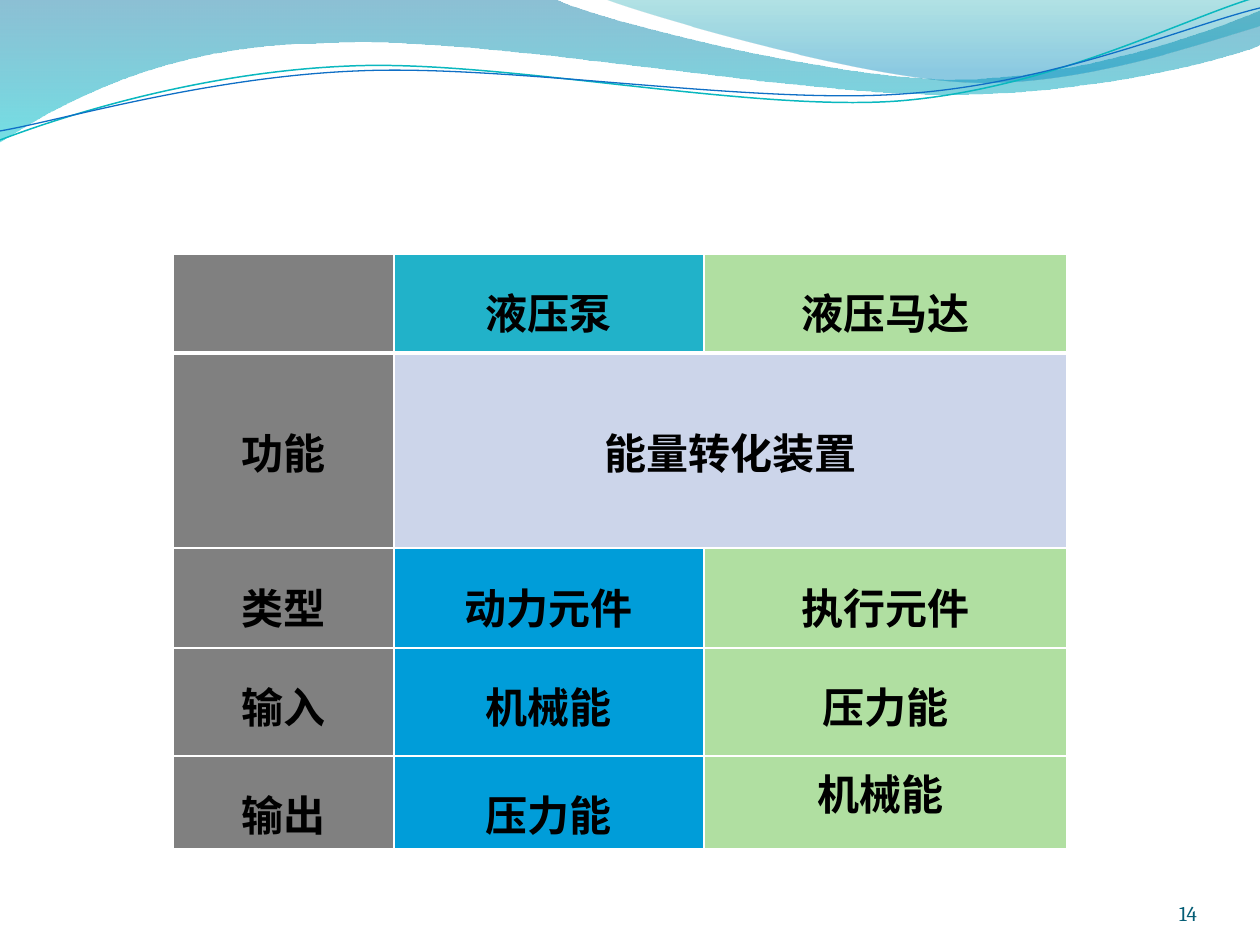
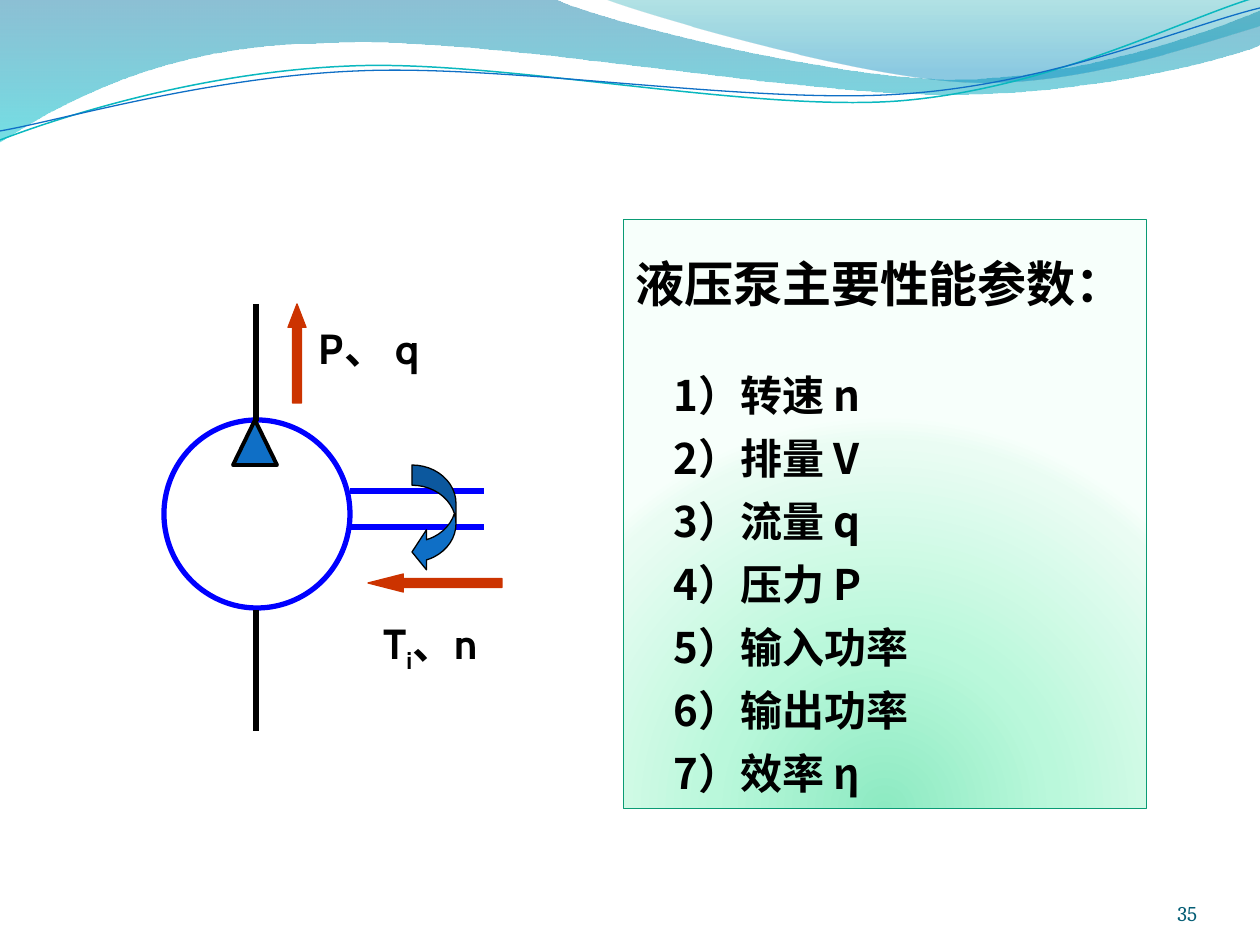
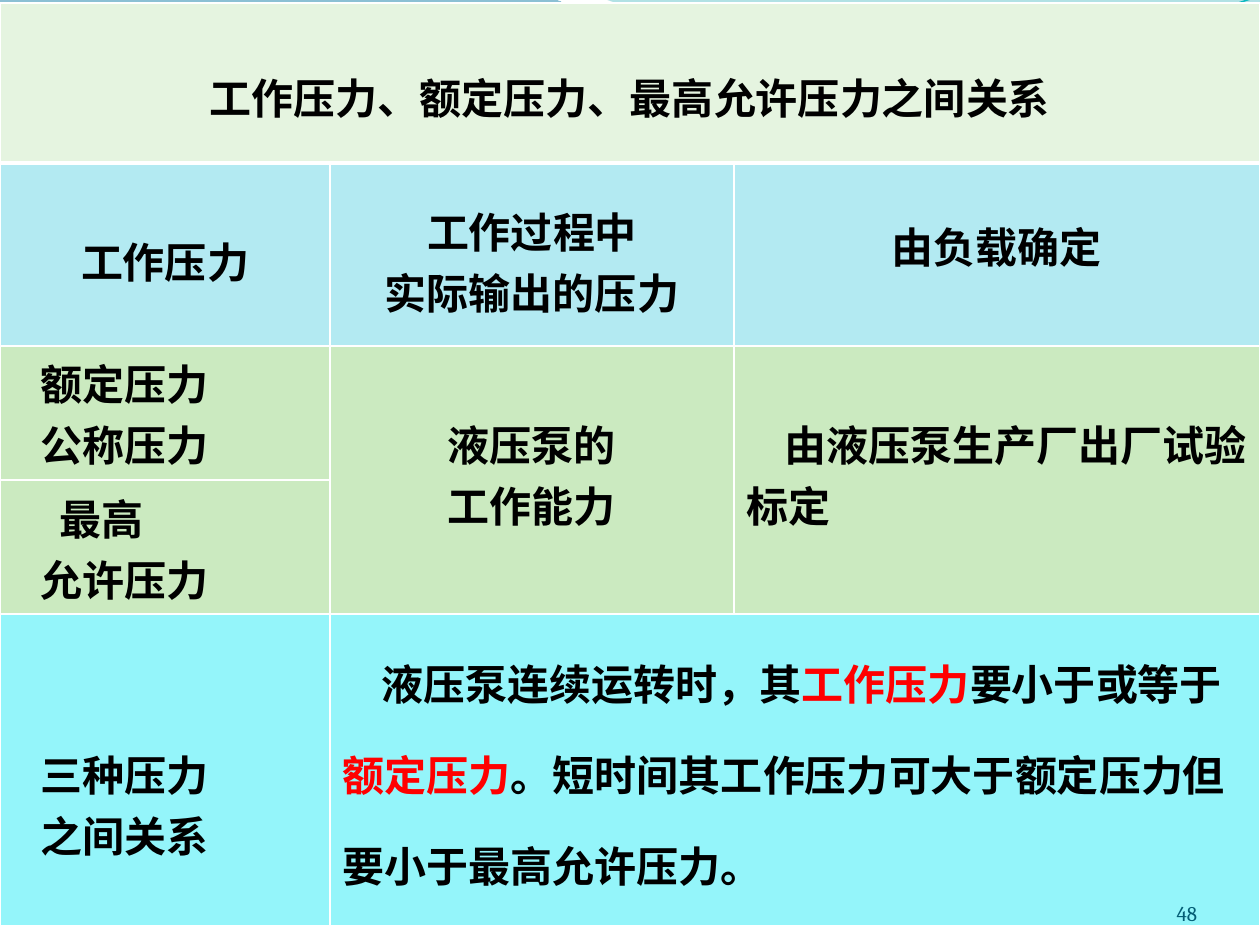
from lxml import etree
from pptx import Presentation
from pptx.dml.color import RGBColor
from pptx.enum.shapes import MSO_CONNECTOR, MSO_SHAPE
from pptx.enum.text import MSO_ANCHOR, PP_ALIGN
from pptx.oxml.ns import qn
from pptx.util import Pt

LEFT, CENTER, RIGHT = PP_ALIGN.LEFT, PP_ALIGN.CENTER, PP_ALIGN.RIGHT
TOP, BOTTOM = MSO_ANCHOR.TOP, MSO_ANCHOR.BOTTOM
ELLIPSE, TRIANGLE, RECT = MSO_SHAPE.OVAL, MSO_SHAPE.ISOSCELES_TRIANGLE, MSO_SHAPE.RECTANGLE
UP_ARROW, LEFT_ARROW = MSO_SHAPE.UP_ARROW, MSO_SHAPE.LEFT_ARROW
CURVED_ARROW = MSO_SHAPE.CURVED_LEFT_ARROW
STRAIGHT = MSO_CONNECTOR.STRAIGHT

CJK, LATIN, NUMBER = "Noto Sans CJK SC", "Cabin", "Cambria"
BLANK_LAYOUT = 6
INSET_X, INSET_Y = 13, 6

COLORS = {
    "white": "FFFFFF", "black": "000000", "red": "FF0000", "number": "045D75",
    "teal_line": "0AB8BF", "blue": "0F6FC6", "pump_line": "0000FF", "flow": "CC3300",
    "gray": "808080", "teal": "21B2C9", "green": "B0DFA1", "lavender": "CCD5EA",
    "sky": "009DD9", "pale_green": "E5F4E0", "pale_blue": "B3EAF2",
    "soft_green": "CBEAC0", "cyan": "94F5FA", "panel_line": "0A9B74",
}

# Each wave is a start point and segments: 2 numbers make a line, 6 a curve.
WIDE_WAVE = ((0, -1), [(554, -1), (600, 21, 837, 79, 955, 79), (1075, 79, 1207, 33, 1260, 11),
                       (1261, 45), (1239, 55, 1096, 96, 940, 94), (783, 94, 481, 35, 324, 43),
                       (163, 44, 58, 105, -1, 142)])
RIGHT_WAVE = ((604, -1), [(641, 14, 859, 78, 969, 82), (1079, 87, 1211, 40, 1260, 26), (1260, 0)])
TEAL_CURVE = ((0, 140), [(60, 117, 199, 72, 349, 66), (498, 59, 747, 112, 898, 101),
                         (1050, 89, 1182, 19, 1257, -3)])
BLUE_CURVE = ((0, 131), [(59, 121, 207, 77, 357, 71), (508, 64, 752, 105, 903, 94),
                         (1053, 84, 1186, 26, 1260, 8)])


def px(n):
    return round(n * 914400 / 126)


def rgb(name):
    return RGBColor.from_string(COLORS[name])


def sub(parent, tag, **attrs):
    return etree.SubElement(parent, qn(tag), {k: str(v) for k, v in attrs.items()})


def add_color(parent, hex_color, opacity=100):
    clr = sub(parent, "a:srgbClr", val=hex_color)
    if opacity < 100:
        sub(clr, "a:alpha", val=opacity * 1000)


def set_gradient(sp, stops, focus=None):
    """Fill from top to bottom, or as circles around focus (l, t, r, b in percent)."""
    sp.fill.background()
    spPr = sp.element.spPr
    grad = etree.Element(qn("a:gradFill"), rotWithShape="1")
    gs_list = sub(grad, "a:gsLst")
    for pos, *color in stops:
        add_color(sub(gs_list, "a:gs", pos=pos * 1000), *color)
    if focus:
        sides = {side: value * 1000 for side, value in zip("ltrb", focus)}
        sub(sub(grad, "a:path", path="circle"), "a:fillToRect", **sides)
    else:
        sub(grad, "a:lin", ang=90 * 60000, scaled=0)
    spPr.replace(spPr.find(qn("a:noFill")), grad)


def bend(sp, segments):
    """Join the three straight steps of each six-number segment into one Bézier curve."""
    steps = iter(list(sp.element.iter(qn("a:lnTo"))))
    for seg in segments:
        first = next(steps)
        if len(seg) == 6:
            first.tag = qn("a:cubicBezTo")
            for _ in range(2):
                step = next(steps)
                first.append(step[0])
                step.getparent().remove(step)


def add_text(tf, text, size=24, color="black", font=CJK, bold=True, align=LEFT,
             margin=0, indent=0, line=None, after=0):
    """Add one paragraph; text is a string or a list of (text, colour, baseline) runs."""
    p = tf.paragraphs[0] if not tf.paragraphs[0].runs else tf.add_paragraph()
    p.alignment = align
    p.space_after = Pt(after)
    if line:
        p.line_spacing = Pt(line)
    pPr = p._p.get_or_add_pPr()
    pPr.set("marL", str(px(margin)))
    pPr.set("indent", str(px(indent)))
    runs = [(text, color, 0)] if isinstance(text, str) else text
    for run_text, run_color, baseline in runs:
        r = p.add_run()
        r.text = run_text
        r.font.size, r.font.bold, r.font.name = Pt(size), bold, font
        r.font.color.rgb = rgb(run_color)
        rPr = r.font._element
        sub(rPr, "a:ea", typeface=CJK)
        if baseline:
            rPr.set("baseline", str(baseline * 1000))


class Deck:
    def __init__(self):
        self.prs = Presentation()
        self.prs.slide_width, self.prs.slide_height = px(1260), px(945)
        self.layout = self.prs.slide_layouts[BLANK_LAYOUT]
        self.slide = None

    def new_slide(self):
        self.slide = self.prs.slides.add_slide(self.layout)
        if len(self.prs.slides) == 1:
            self.waves_on_layout()

    def waves_on_layout(self):
        for ph in list(self.layout.placeholders):
            ph.element.getparent().remove(ph.element)
        waves = [
            self.wave(WIDE_WAVE, stops=[(0, "0074A1", 45), (100, "00C6CF", 55)]),
            self.wave(RIGHT_WAVE, stops=[(0, "00A1A9", 30), (80, "008BBF", 45)]),
            self.wave(TEAL_CURVE, line="teal_line", width=0.85),
            self.wave(BLUE_CURVE, line="blue", width=0.75),
        ]
        for sp in waves:
            self.layout.shapes.element.append(sp.element)

    def style(self, sp, fill=None, line=None, width=0.75):
        sp.shadow.inherit = False
        if fill:
            sp.fill.solid()
            sp.fill.fore_color.rgb = rgb(fill)
        else:
            sp.fill.background()
        if line:
            sp.line.color.rgb = rgb(line)
            sp.line.width = Pt(width)
        else:
            sp.line.fill.background()

    def wave(self, outline, stops=None, line=None, width=1):
        start, segments = outline
        points = [(px(x), px(y)) for seg in segments for x, y in zip(seg[::2], seg[1::2])]
        builder = self.slide.shapes.build_freeform(px(start[0]), px(start[1]))
        builder.add_line_segments(points, close=bool(stops))
        sp = builder.convert_to_shape()
        bend(sp, segments)
        self.style(sp, line=line, width=width)
        if stops:
            set_gradient(sp, stops)
        return sp

    def shape(self, kind, x, y, w, h, adjust=(), **style):
        sp = self.slide.shapes.add_shape(kind, px(x), px(y), px(w), px(h))
        for i, value in enumerate(adjust):
            sp.adjustments[i] = value
        self.style(sp, **style)
        return sp

    def line(self, x1, y1, x2, y2, color, width=3):
        cxn = self.slide.shapes.add_connector(STRAIGHT, px(x1), px(y1), px(x2), px(y2))
        cxn.line.color.rgb = rgb(color)
        cxn.line.width = Pt(width)
        sub(cxn.element.spPr, "a:effectLst")

    def text(self, x, y, w, h, text, wrap=True, anchor=TOP, inset=(INSET_X, INSET_Y), **fmt):
        tf = self.slide.shapes.add_textbox(px(x), px(y), px(w), px(h)).text_frame
        tf.word_wrap, tf.vertical_anchor = wrap, anchor
        tf.margin_left = tf.margin_right = px(inset[0])
        tf.margin_top = tf.margin_bottom = px(inset[1])
        add_text(tf, text, **fmt)

    def slide_number(self, number):
        self.text(1092, 876, 105, 50, str(number), anchor=BOTTOM, inset=(0, 0),
                  size=12, color="number", font=NUMBER, bold=False, align=RIGHT)

    def table(self, x, y, cols, rows, fills, merges=()):
        frame = self.slide.shapes.add_table(len(rows), len(cols), px(x), px(y),
                                            px(sum(cols)), px(sum(rows)))
        table = frame.table
        table.first_row = table.horz_banding = False
        for col, width in zip(table.columns, cols):
            col.width = px(width)
        for row, height in zip(table.rows, rows):
            row.height = px(height)
        for r, row_fills in enumerate(fills):
            for c, fill in enumerate(row_fills):
                cell = table.cell(r, c)
                self.cell_borders(cell, top=3 if r == 1 else 1, bottom=3 if r == 0 else 1)
                cell.fill.solid()
                cell.fill.fore_color.rgb = rgb(fill)
        for first, last in merges:
            table.cell(*first).merge(table.cell(*last))
        return table

    def cell_borders(self, cell, top, bottom):
        tcPr = cell._tc.get_or_add_tcPr()
        for side, width in (("L", 1), ("R", 1), ("T", top), ("B", bottom)):
            ln = sub(tcPr, f"a:ln{side}", w=Pt(width))
            add_color(sub(ln, "a:solidFill"), COLORS["white"])

    def cell_text(self, cell, paragraphs, top, **fmt):
        """Write paragraphs, each a text or a (text, format) pair, top px below the cell's edge."""
        cell.vertical_anchor = TOP
        cell.margin_left = px(INSET_X)
        cell.margin_right = px(INSET_Y if "indent" in fmt else INSET_X)
        cell.margin_top, cell.margin_bottom = px(top), 0
        for item in paragraphs:
            text, own = item if isinstance(item, tuple) else (item, {})
            add_text(cell.text_frame, text, **{**fmt, **own})


def pump_and_motor(deck):
    deck.new_slide()
    body = ["gray", "sky", "green"]
    table = deck.table(173, 254, [221, 310, 363], [99, 195, 100, 108, 93],
                       [["gray", "teal", "green"], ["gray", "lavender", "lavender"],
                        body, body, body],
                       merges=[((1, 1), (1, 2))])
    rows = [
        ("", "液压泵", "液压马达"),
        ("功能", "能量转化装置", ""),
        ("类型", "动力元件", "执行元件"),
        ("输入", "机械能", "压力能"),
        ("输出", "压力能", "机械能 "),
    ]
    tops = [27, 68, 28, 27, 27]
    for r, texts in enumerate(rows):
        for c, text in enumerate(texts):
            if text:
                top = INSET_Y if (r, c) == (4, 2) else tops[r]
                deck.cell_text(table.cell(r, c), [text], top, align=CENTER)
    deck.slide_number(14)


def pump_parameters(deck):
    deck.new_slide()
    deck.shape(ELLIPSE, 164, 420, 186, 188, line="pump_line", width=3)
    deck.shape(TRIANGLE, 233, 420, 44, 45, fill="blue", line="black", width=2.25)
    for y in (491, 527):
        deck.line(350, y, 484, y, "pump_line")
    for y1, y2 in ((610, 731), (304, 421)):
        deck.line(256, y1, 256, y2, "black")
    deck.shape(CURVED_ARROW, 412, 465, 44, 107, (0.46, 0.91, 0.33), fill="blue", line="black")
    deck.shape(UP_ARROW, 288, 304, 18, 99, (0.5, 1.3), fill="flow", line="flow")
    deck.shape(LEFT_ARROW, 368, 574, 134, 18, (0.5, 1.96), fill="flow", line="flow")
    deck.text(306, 316, 150, 56, "P、 q", wrap=False, font=LATIN)
    deck.text(370, 611, 130, 56, [("T", "black", 0), ("i", "black", -25), ("、n", "black", 0)],
              font=LATIN)

    panel = deck.shape(RECT, 623, 219, 523, 590, line="panel_line", width=0.5)
    set_gradient(panel, [(0, "8DEAC2"), (43, "BAF8DB"), (93, "EAFCF3"), (100, "F7FFFB")],
                 focus=(50, 130, 50, -30))
    tf = panel.text_frame
    tf.word_wrap, tf.vertical_anchor = False, TOP
    add_text(tf, "液压泵主要性能参数：", size=28, line=50, after=25)
    parameters = ["转速 n", "排量 V", "流量 q", "压力 P", "输入功率", "输出功率", "效率 η"]
    for i, name in enumerate(parameters, 1):
        add_text(tf, f"{i}）{name}", margin=38, line=36)
    deck.slide_number(35)


def pressure_relations(deck):
    deck.new_slide()
    fills = ["pale_green", "pale_blue", "soft_green", "soft_green", "cyan"]
    table = deck.table(0, 3, [330, 404, 526], [160, 183, 134, 134, 312],
                       [[fill] * 3 for fill in fills],
                       merges=[((0, 0), (0, 2)), ((2, 1), (3, 1)), ((2, 2), (3, 2)),
                               ((4, 1), (4, 2))])
    rule = [
        ("液压泵连续运转时，其", "black", 0),
        ("工作压力", "red", 0),
        ("要小于或等于", "black", 0),
        ("额定压力", "red", 0),
        ("。短时间其工作压力可大于额定压力但要小于最高允许压力。", "black", 0),
    ]
    centered, label = {"align": CENTER}, {"margin": 28}
    cells = [
        (0, 0, ["工作压力、额定压力、最高允许压力之间关系"], 63, centered),
        (1, 0, ["工作压力"], 67, centered),
        (1, 1, ["工作过程中", "实际输出的压力"], 37, centered),
        (1, 2, ["由负载确定"], 52, centered),
        (2, 0, ["额定压力", "公称压力"], 6, label),
        (2, 1, ["液压泵的", "工作能力"], 67, centered),
        (2, 2, ["由液压泵生产厂出厂试验标定"], 67, {"indent": 38}),
        (3, 0, [("最高", {"margin": 47}), "允许压力"], 7, label),
        (4, 0, ["三种压力", "之间关系"], 129, label),
        (4, 1, [(rule, {})], 8, {"indent": 39, "line": 52}),
    ]
    for r, c, paragraphs, top, fmt in cells:
        deck.cell_text(table.cell(r, c), paragraphs, top, **fmt)
    deck.slide_number(48)


def main():
    deck = Deck()
    pump_and_motor(deck)
    pump_parameters(deck)
    pressure_relations(deck)
    deck.prs.save("out.pptx")


if __name__ == "__main__":
    main()
